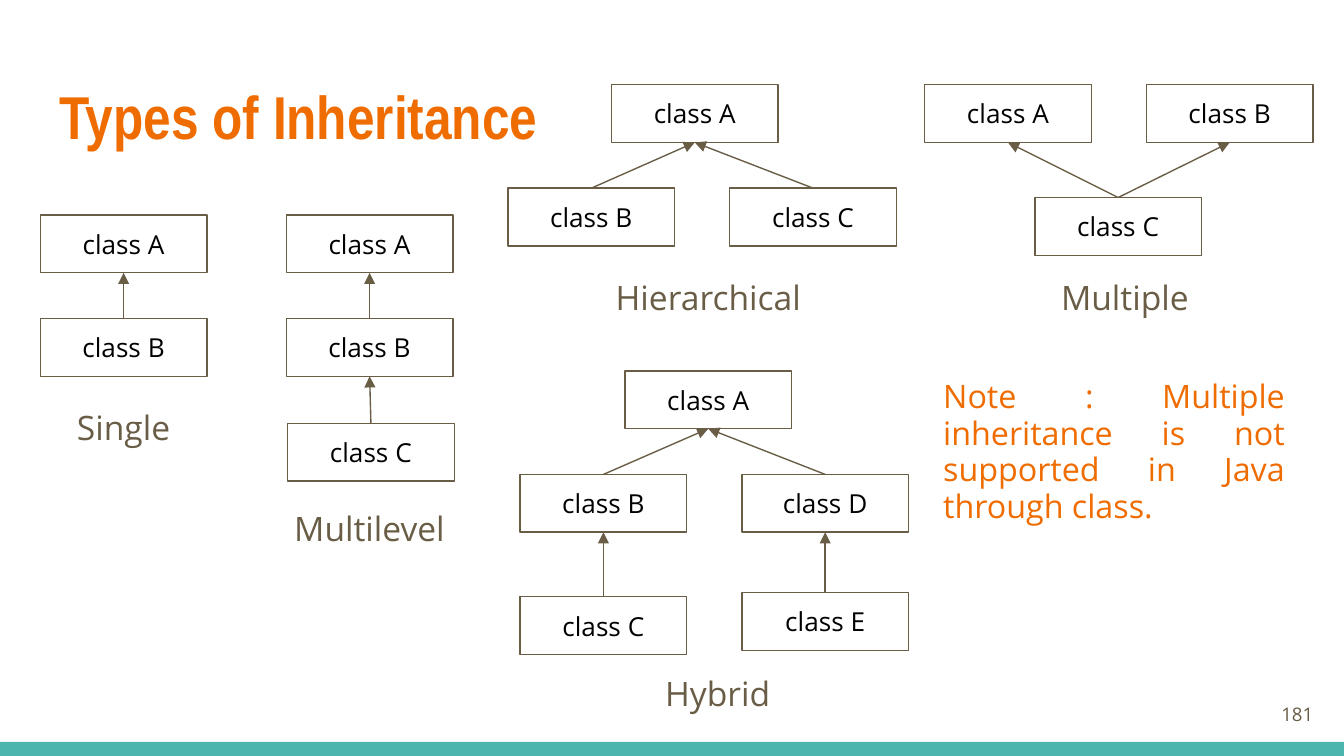
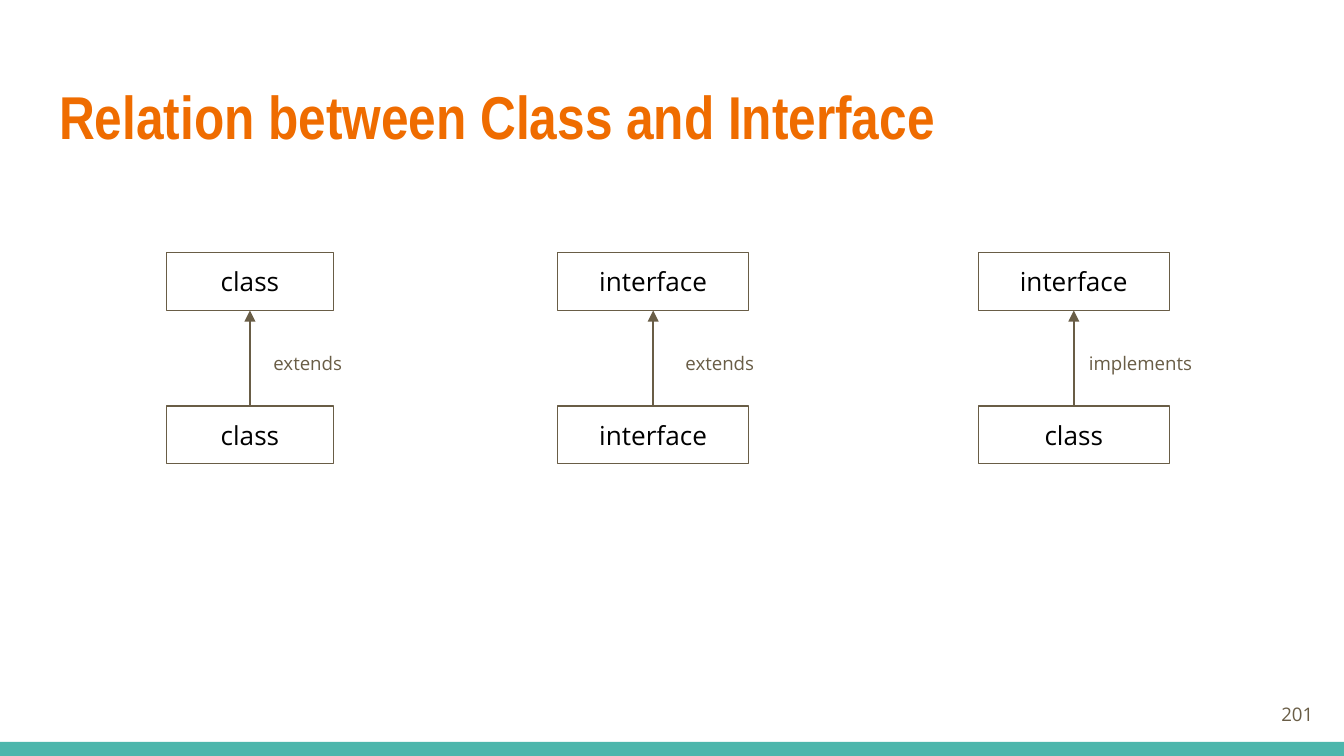
from lxml import etree
from pptx import Presentation
from pptx.dml.color import RGBColor
from pptx.enum import shapes, text
from pptx.oxml.ns import qn
from pptx.util import Inches, Pt

COLORS = {"band": "4DB6AC", "accent": "EF6C00", "muted": "695D46", "box": "000000"}
STYLES = {
    "title": ({"size": Pt(32.4), "name": "Arial Narrow", "bold": True}, "accent"),
    "box": ({"size": Pt(14), "name": "Open Sans"}, "box"),
    "caption": ({"size": Pt(18), "name": "Open Sans"}, "muted"),
    "small": ({"size": Pt(10), "name": "Open Sans"}, "muted"),
    "note": ({"size": Pt(17.3), "name": "Open Sans"}, "accent"),
}
BOX_WIDTH, WIDE_BOX, BOX_HEIGHT, LABEL_HEIGHT = 1.24, 1.42, 0.43, 0.34
TOP_SITE, BOTTOM_SITE = 0, 2
CENTER, MIDDLE = text.PP_ALIGN.CENTER, text.MSO_ANCHOR.MIDDLE


def write(shape, words, style, align=CENTER, anchor=MIDDLE):
    frame = shape.text_frame
    frame.text = words
    layout = {"word_wrap": True, "auto_size": text.MSO_AUTO_SIZE.NONE, "vertical_anchor": anchor}
    layout.update({f"margin_{side}": Inches(0.1) for side in ("left", "top", "right", "bottom")})
    for attribute, value in layout.items():
        setattr(frame, attribute, value)
    paragraph = frame.paragraphs[0]
    paragraph.alignment = align
    font = paragraph.runs[0].font
    values, color = STYLES[style]
    for attribute, value in values.items():
        setattr(font, attribute, value)
    font.color.rgb = RGBColor.from_string(COLORS[color])
    return paragraph


def draw_diagram(slide, width, boxes, arrows, label):
    """Group named boxes (words, left, top), child-to-parent arrows and one label."""
    group = slide.shapes.add_group_shape().shapes
    ink = RGBColor.from_string(COLORS["muted"])
    nodes = {}
    for name, (words, left, top) in boxes.items():
        node = group.add_shape(shapes.MSO_SHAPE.RECTANGLE, Inches(left), Inches(top),
                               Inches(width), Inches(BOX_HEIGHT))
        node.shadow.inherit = False
        node.fill.background()
        node.line.color.rgb = ink
        node.line.width = Pt(0.75)
        write(node, words, "box")
        nodes[name] = node
    for child, parent in arrows:
        arrow = group.add_connector(shapes.MSO_CONNECTOR.STRAIGHT, 0, 0, 0, 0)
        arrow.begin_connect(nodes[child], TOP_SITE)
        arrow.end_connect(nodes[parent], BOTTOM_SITE)
        arrow.line.color.rgb = ink
        arrow.line.width = Pt(0.75)
        etree.SubElement(arrow.line._get_or_add_ln(), qn("a:tailEnd"), type="triangle")
        etree.SubElement(arrow._element.spPr, qn("a:effectLst"))
    words, style, left, top, label_width = label
    box = group.add_textbox(Inches(left), Inches(top), Inches(label_width), Inches(LABEL_HEIGHT))
    write(box, words, style)


prs = Presentation()
prs.slide_width, prs.slide_height = Inches(10), Inches(5.625)

slides = []
for heading, number in [("Types of Inheritance", "181"),
                        ("Relation between Class and Interface", "201")]:
    slide = prs.slides.add_slide(prs.slide_layouts[5])
    band = slide.shapes.add_shape(shapes.MSO_SHAPE.RECTANGLE, 0, Inches(5.52),
                                  prs.slide_width, Inches(0.11))
    band.shadow.inherit = False
    band.fill.solid()
    band.fill.fore_color.rgb = RGBColor.from_string(COLORS["band"])
    band.line.fill.background()

    title = slide.shapes.title
    for attribute, value in {"left": 0.34, "top": 0.49, "width": 9.32, "height": 0.77}.items():
        setattr(title, attribute, Inches(value))
    write(title, heading, "title", text.PP_ALIGN.LEFT, text.MSO_ANCHOR.TOP)

    page = slide.shapes.add_textbox(Inches(9.27), Inches(5.1), Inches(0.6), Inches(0.43))
    write(page, number, "small", text.PP_ALIGN.RIGHT)
    slides.append(slide)

inheritance, relations = slides

# Types of inheritance: places of the classes, arrows as child-parent pairs, caption
inheritance_types = [
    ({"A": (0.3, 1.6), "B": (0.3, 2.37)},
     ["BA"], ("Single", "caption", 0.31, 3.01, 1.22)),
    ({"A": (2.13, 1.6), "B": (2.13, 2.37), "C": (2.14, 3.15)},
     ["BA", "CB"], ("Multilevel", "caption", 1.95, 3.76, 1.6)),
    ({"A": (4.55, 0.63), "B": (3.78, 1.4), "C": (5.43, 1.4)},
     ["BA", "CA"], ("Hierarchical", "caption", 4.47, 2.04, 1.6)),
    ({"A": (6.88, 0.63), "B": (8.53, 0.63), "C": (7.7, 1.47)},
     ["CB", "CA"], ("Multiple", "caption", 7.57, 2.04, 1.6)),
    ({"A": (4.65, 2.76), "B": (3.87, 3.53), "D": (5.52, 3.53), "C": (3.87, 4.44), "E": (5.52, 4.41)},
     ["BA", "DA", "CB", "ED"], ("Hybrid", "caption", 4.54, 4.99, 1.6)),
]
for places, arrows, caption in inheritance_types:
    classes = {name: (f"class {name}", *place) for name, place in places.items()}
    draw_diagram(inheritance, BOX_WIDTH, classes, arrows, caption)

note = inheritance.shapes.add_textbox(Inches(6.92), Inches(2.72), Inches(2.74), Inches(1.19))
remark = write(note, "Note : Multiple inheritance is not supported in Java through class.",
               "note", text.PP_ALIGN.JUSTIFY, text.MSO_ANCHOR.TOP)
remark.line_spacing = 0.95
remark.space_after = Pt(12)

# Relations: a lower type points up at the type it extends or implements
for left, width, upper, lower, keyword, keyword_width in [
    (1.24, BOX_WIDTH, "class", "class", "extends", 0.86),
    (4.15, WIDE_BOX, "interface", "interface", "extends", 0.99),
    (7.28, WIDE_BOX, "interface", "class", "implements", 0.99),
]:
    types = {"upper": (upper, left, 1.88), "lower": (lower, left, 3.02)}
    draw_diagram(relations, width, types, [("lower", "upper")],
                 (keyword, "small", left + width / 2, 2.53, keyword_width))

prs.save("out.pptx")
